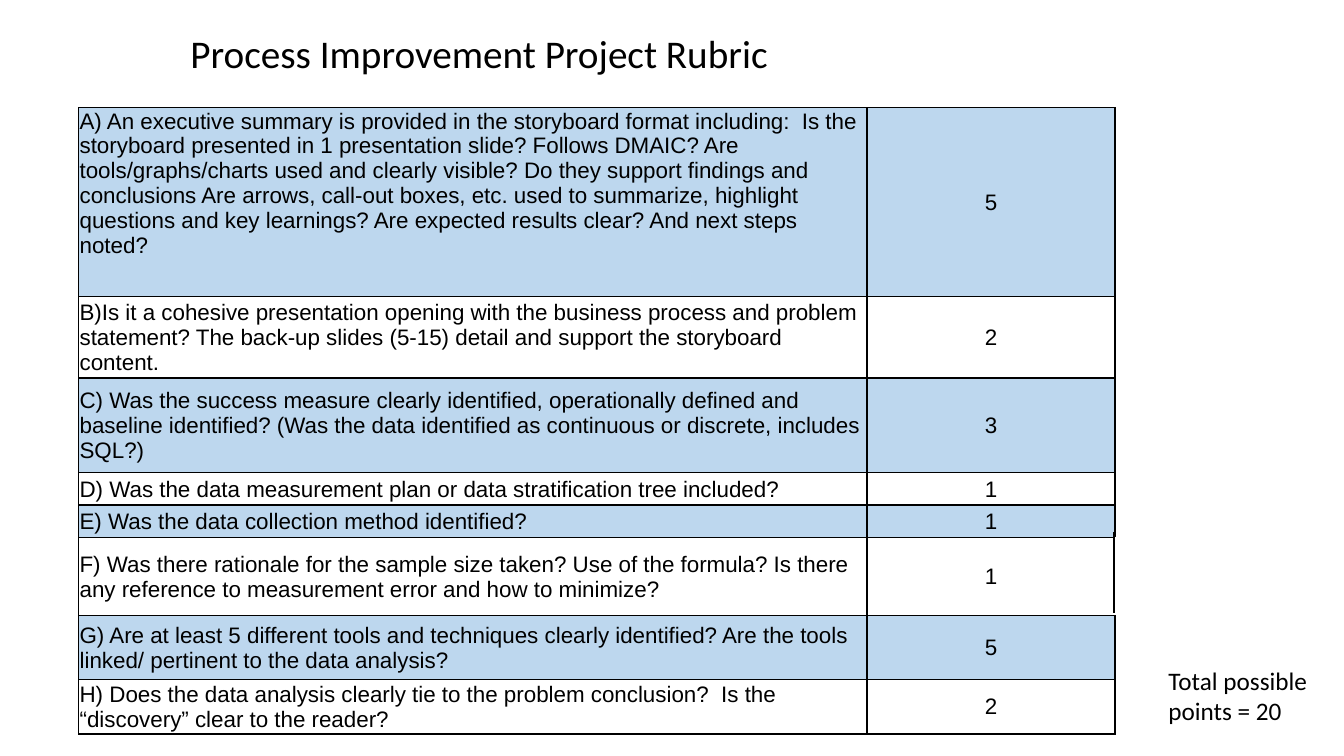
"""Build the scoring rubric slide for a process improvement project."""
from lxml.etree import SubElement
from pptx import Presentation
from pptx.dml.color import RGBColor
from pptx.enum.shapes import MSO_CONNECTOR
from pptx.enum.text import MSO_ANCHOR, MSO_AUTO_SIZE, PP_ALIGN
from pptx.oxml.ns import qn
from pptx.util import Pt

PX = 9144
BLACK = RGBColor(0x00, 0x00, 0x00)
WHITE = RGBColor(0xFF, 0xFF, 0xFF)
LIGHT_BLUE = RGBColor(0xBD, 0xD7, 0xEE)

CRITERIA = [
    ("A) An executive summary is provided in the storyboard format including:  Is the storyboard "
     "presented in 1 presentation slide? Follows DMAIC? Are tools/graphs/charts used and clearly "
     "visible? Do they support findings and conclusions Are arrows, call-out boxes, etc. used to "
     "summarize, highlight questions and key learnings? Are expected results clear? And next "
     "steps noted?", 5, 187),
    ("B)Is it a cohesive presentation opening with the business process and problem statement? "
     "The back-up slides (5-15) detail and support the storyboard content.", 2, 78),
    ("C) Was the success measure clearly identified, operationally defined and baseline "
     "identified? (Was the data identified as continuous or discrete, includes SQL?)", 3, 94),
    ("D) Was the data measurement plan or data stratification tree included?", 1, 32),
    ("E) Was the data collection method identified?", 1, 32),
    ("F) Was there rationale for the sample size taken? Use of the formula? Is there any "
     "reference to measurement error and how to minimize?", 1, 78),
    ("G) Are at least 5 different tools and techniques clearly identified? Are the tools linked/ "
     "pertinent to the data analysis?", 5, 63),
    ("H) Does the data analysis clearly tie to the problem conclusion?  Is the “discovery” clear "
     "to the reader?", 2, 47),
]
COLUMN_WIDTHS = [782, 246]
OPEN_SIDED_CELL = (5, 1)


def write_text(text_frame, lines, size, font="Calibri", align=PP_ALIGN.LEFT):
    for index, line in enumerate(lines):
        paragraph = text_frame.paragraphs[0] if index == 0 else text_frame.add_paragraph()
        paragraph.alignment = align
        run = paragraph.add_run()
        run.text = line
        run.font.size = Pt(size)
        run.font.name = font
        run.font.color.rgb = BLACK


def add_border(cell, side):
    line = SubElement(cell._tc.get_or_add_tcPr(), qn(f"a:ln{side}"), w=str(Pt(1)))
    fill = SubElement(line, qn("a:solidFill"))
    SubElement(fill, qn("a:srgbClr"), val=str(BLACK))


presentation = Presentation()
presentation.slide_width = 1333 * PX
presentation.slide_height = 750 * PX
slide = presentation.slides.add_slide(presentation.slide_layouts[6])

labels = [
    (["Total possible", "points = 20"], 18, (1149, 655, 165, 71)),
    (["Process Improvement Project Rubric"], 28, (179, 24, 599, 57)),
]
for lines, size, bounds in labels:
    text_frame = slide.shapes.add_textbox(*(value * PX for value in bounds)).text_frame
    text_frame.word_wrap = False
    text_frame.auto_size = MSO_AUTO_SIZE.SHAPE_TO_FIT_TEXT
    write_text(text_frame, lines, size)

table_height = sum(height for _, _, height in CRITERIA)
table = slide.shapes.add_table(
    len(CRITERIA), len(COLUMN_WIDTHS),
    78 * PX, 107 * PX, sum(COLUMN_WIDTHS) * PX, table_height * PX,
).table
table.first_row = False
table.horz_banding = False
for column, width in zip(table.columns, COLUMN_WIDTHS):
    column.width = width * PX

for row_index, (criterion, points, height) in enumerate(CRITERIA):
    table.rows[row_index].height = height * PX
    for column_index, text in enumerate([criterion, str(points)]):
        cell = table.cell(row_index, column_index)
        position = (row_index, column_index)
        cell.margin_left = cell.margin_right = cell.margin_top = 1 * PX
        cell.margin_bottom = 0
        cell.vertical_anchor = MSO_ANCHOR.TOP if position == (0, 0) else MSO_ANCHOR.MIDDLE
        for side in "LTB" if position == OPEN_SIDED_CELL else "LRTB":
            add_border(cell, side)
        cell.fill.solid()
        cell.fill.fore_color.rgb = WHITE if row_index % 2 else LIGHT_BLUE
        align = PP_ALIGN.CENTER if column_index else PP_ALIGN.LEFT
        write_text(cell.text_frame, [text], 16, font="Arial", align=align)

side_line = slide.shapes.add_connector(
    MSO_CONNECTOR.STRAIGHT, 1105 * PX, 528 * PX, 1105 * PX, 608 * PX)
side_line.line.color.rgb = BLACK
side_line.line.width = Pt(1.25)
SubElement(side_line._element.spPr, qn("a:effectLst"))

presentation.save("out.pptx")
